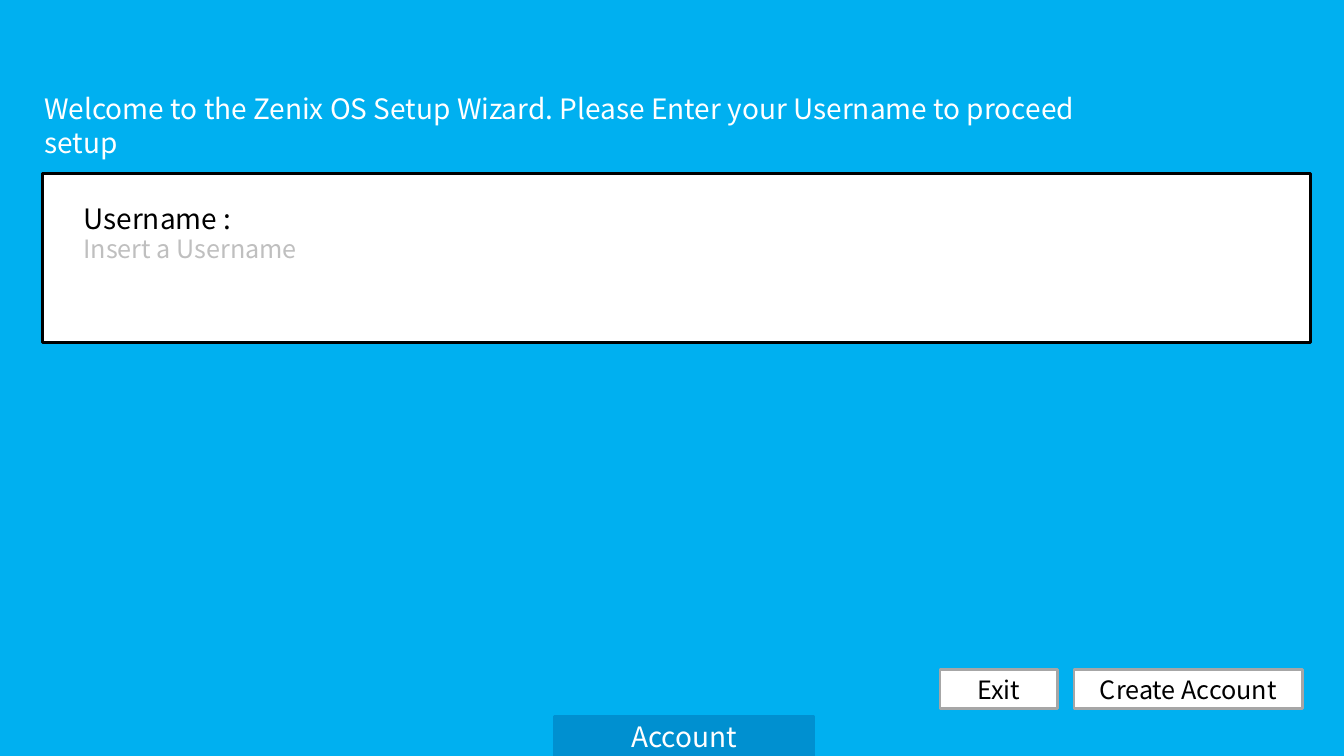
from pptx import Presentation
from pptx.dml.color import RGBColor
from pptx.enum.shapes import MSO_SHAPE
from pptx.enum.text import MSO_ANCHOR, PP_ALIGN
from pptx.util import Inches, Pt

RECTANGLE = MSO_SHAPE.RECTANGLE
MIDDLE = MSO_ANCHOR.MIDDLE
LEFT, CENTER = PP_ALIGN.LEFT, PP_ALIGN.CENTER

SKY, DEEP_SKY = "00B0F0", "0090D0"
WHITE, BLACK = "FFFFFF", "000000"
BORDER_GRAY, HINT_GRAY = "A6A6A6", "BFBFBF"


def color(value):
    return RGBColor.from_string(value)


class WizardSlide:
    font_name = "Noto Sans CJK SC"
    border_width = Pt(2)

    def __init__(self, presentation):
        self.column = presentation.slide_width / 100
        self.row = presentation.slide_height / 100
        self.slide = presentation.slides.add_slide(presentation.slide_layouts[6])
        background = self.slide.background.fill
        background.solid()
        background.fore_color.rgb = color(SKY)

    def place(self, left, top, width, height):
        return (round(left * self.column), round(top * self.row),
                round(width * self.column), round(height * self.row))

    def set_text(self, shape, text, size, text_color, alignment):
        shape.text_frame.word_wrap = True
        paragraph = shape.text_frame.paragraphs[0]
        paragraph.text = text
        paragraph.alignment = alignment
        paragraph.font.name = self.font_name
        paragraph.font.size = Pt(size)
        paragraph.font.color.rgb = color(text_color)

    def label(self, area, text, size, text_color):
        shape = self.slide.shapes.add_textbox(*self.place(*area))
        self.set_text(shape, text, size, text_color, LEFT)

    def panel(self, area, fill, border):
        shape = self.slide.shapes.add_shape(RECTANGLE, *self.place(*area))
        shape.shadow.inherit = False
        shape.fill.solid()
        shape.fill.fore_color.rgb = color(fill)
        shape.line.color.rgb = color(border)
        shape.line.width = self.border_width
        return shape

    def button(self, area, text, size=18, text_color=BLACK, fill=WHITE, border=BORDER_GRAY):
        shape = self.panel(area, fill, border)
        shape.text_frame.vertical_anchor = MIDDLE
        self.set_text(shape, text, size, text_color, CENTER)


def main():
    presentation = Presentation()
    presentation.slide_width = Inches(13.34)
    presentation.slide_height = Inches(7.5)
    wizard = WizardSlide(presentation)

    wizard.label((2.55, 11.47, 82.61, 10.27),
                 "Welcome to the Zenix OS Setup Wizard. "
                 "Please Enter your Username to proceed setup", 20, WHITE)

    wizard.panel((3.15, 22.93, 94.38, 22.4), WHITE, BLACK)
    field_left = 5.47
    wizard.label((field_left, 26, 21.06, 5.87), "Username :", 20, BLACK)
    wizard.label((field_left, 30.27, 31.03, 5.33), "Insert a Username", 18, HINT_GRAY)

    button_height, button_gap = 5.2, 1.2
    button_right = 96.93
    for text, width in (("Create Account", 17.02), ("Exit", 8.77)):
        button_left = button_right - width
        wizard.button((button_left, 88.53, width, button_height), text)
        button_right = button_left - button_gap

    wizard.button((41.23, 100 - button_height, 19.34, button_height),
                  "Account", 20, WHITE, DEEP_SKY, DEEP_SKY)

    presentation.save("out.pptx")


if __name__ == "__main__":
    main()
